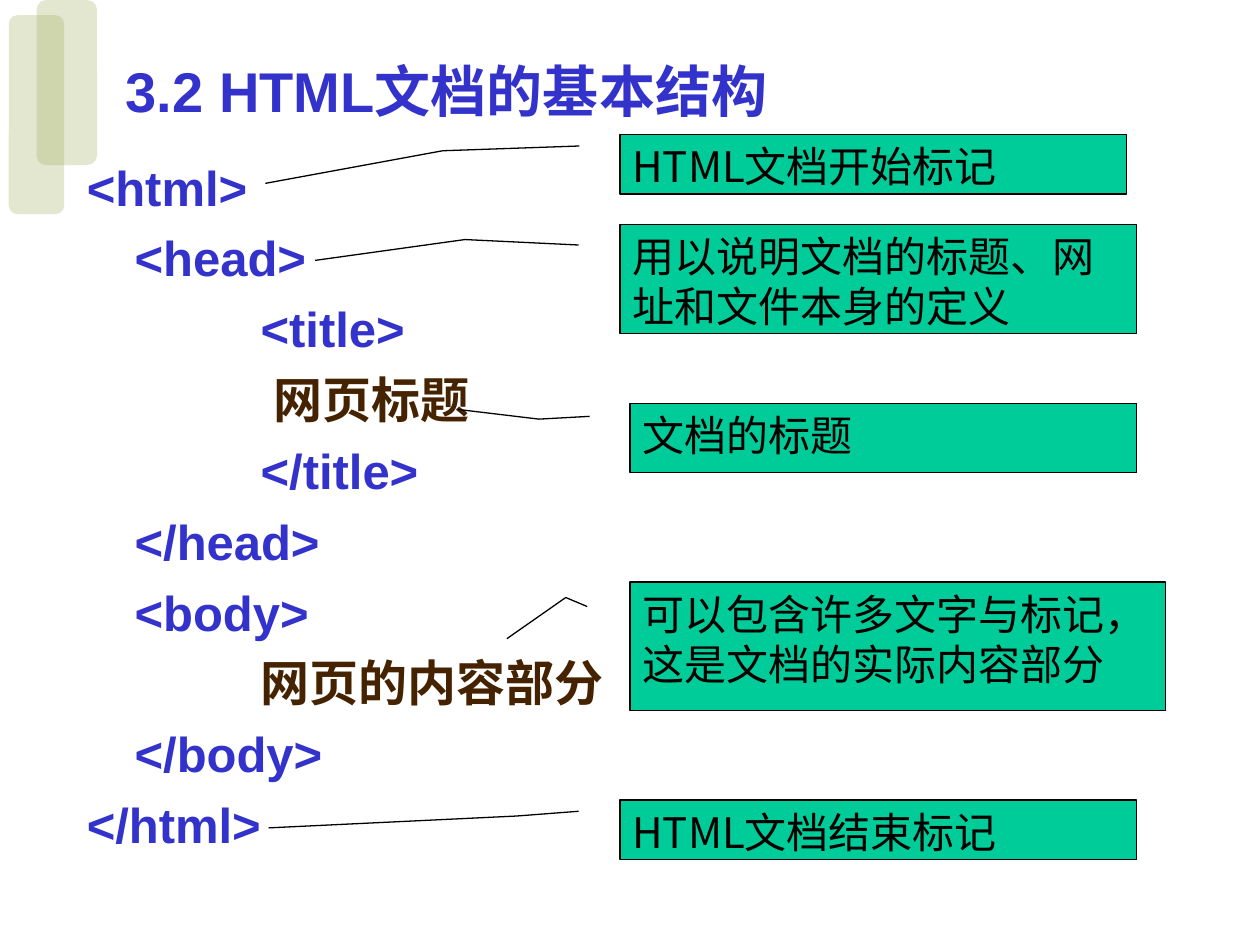
import pptx
import pptx.util
import pptx.dml.color
import pptx.enum.shapes
import pptx.enum.text
import lxml.etree

Inches, Pt = pptx.util.Inches, pptx.util.Pt
SHAPE = pptx.enum.shapes.MSO_SHAPE
ANCHOR = pptx.enum.text.MSO_ANCHOR
BLUE, BROWN = "3333CC", "462300"


def rgb(value):
    return pptx.dml.color.RGBColor.from_string(value)


def write(p, text, size, name, color, bold):
    p.text = text
    p.alignment = pptx.enum.text.PP_ALIGN.LEFT
    p.font.size = Pt(size)
    p.font.name = name
    p.font.bold = bold
    p.font.color.rgb = rgb(color)


prs = pptx.Presentation()
prs.slide_width, prs.slide_height = Inches(10), Inches(7.5)
s = prs.slides.add_slide(prs.slide_layouts[6])

for box in [(0.07, 0.12, 0.44, 1.58), (0.29, 0, 0.48, 1.31)]:
    sp = s.shapes.add_shape(SHAPE.ROUNDED_RECTANGLE, *map(Inches, box))
    sp.adjustments[0] = 0.16
    sp.shadow.inherit = False
    sp.line.fill.background()
    sp.fill.solid()
    sp.fill.fore_color.rgb = rgb("9DAB55")
    color = sp.fill._xPr.find(".//" + pptx.oxml.ns.qn("a:srgbClr"))
    lxml.etree.SubElement(color, pptx.oxml.ns.qn("a:alpha"), val="28000")

tf = s.shapes.add_textbox(Inches(0.9), Inches(0.36), Inches(7.17), Inches(0.71)).text_frame
tf.word_wrap = True
tf.vertical_anchor = ANCHOR.MIDDLE
write(tf.paragraphs[0], "3.2 HTML文档的基本结构", 32, "Arial", BLUE, True)

code = [
    (0, "<html>", BLUE),
    (0.38, "<head>", BLUE),
    (1.38, "<title>", BLUE),
    (1.48, "网页标题", BROWN),
    (1.38, "</title>", BLUE),
    (0.38, "</head>", BLUE),
    (0.38, "<body>", BLUE),
    (1.38, "网页的内容部分", BROWN),
    (0.38, "</body>", BLUE),
    (0, "</html>", BLUE),
]
tf = s.shapes.add_textbox(Inches(0.59), Inches(1.15), Inches(8.98), Inches(5.75)).text_frame
tf.word_wrap = True
for i, (indent, text, color) in enumerate(code):
    p = tf.add_paragraph() if i else tf.paragraphs[0]
    write(p, text, 28, "Arial", color, True)
    p.line_spacing = Pt(37)
    p.space_before = Pt(3.5)
    p._p.get_or_add_pPr().set("marL", str(Inches(indent)))

callouts = [
    ("HTML文档开始标记", (4.92, 1.07, 4.02, 0.47), (0.27, -0.35, 0.82, -0.7)),
    ("用以说明文档的标题、网址和文件本身的定义", (4.92, 1.78, 4.1, 0.87), (0.14, -0.3, 0.33, -0.59)),
    ("可以包含许多文字与标记，这是文档的实际内容部分", (5, 4.62, 4.25, 1.02), (0.12, -0.12, 0.44, -0.23)),
    ("HTML文档结束标记", (4.92, 6.35, 4.1, 0.47), (0.27, -0.2, 0.47, -0.68)),
    ("文档的标题", (5, 3.2, 4.02, 0.55), (0.23, -0.18, 0.09, -0.34)),
]
for text, box, bends in callouts:
    sp = s.shapes.add_shape(SHAPE.LINE_CALLOUT_2, *map(Inches, box))
    for i, value in enumerate((0.19, -0.08) + bends):
        sp.adjustments[i] = value
    sp.shadow.inherit = False
    sp.fill.solid()
    sp.fill.fore_color.rgb = rgb("00CC99")
    sp.line.color.rgb = rgb("000000")
    sp.line.width = Pt(0.75)
    tf = sp.text_frame
    tf.word_wrap = True
    tf.vertical_anchor = ANCHOR.TOP
    write(tf.paragraphs[0], text, 24, "Noto Sans CJK JP", "000000", False)

prs.save("out.pptx")
